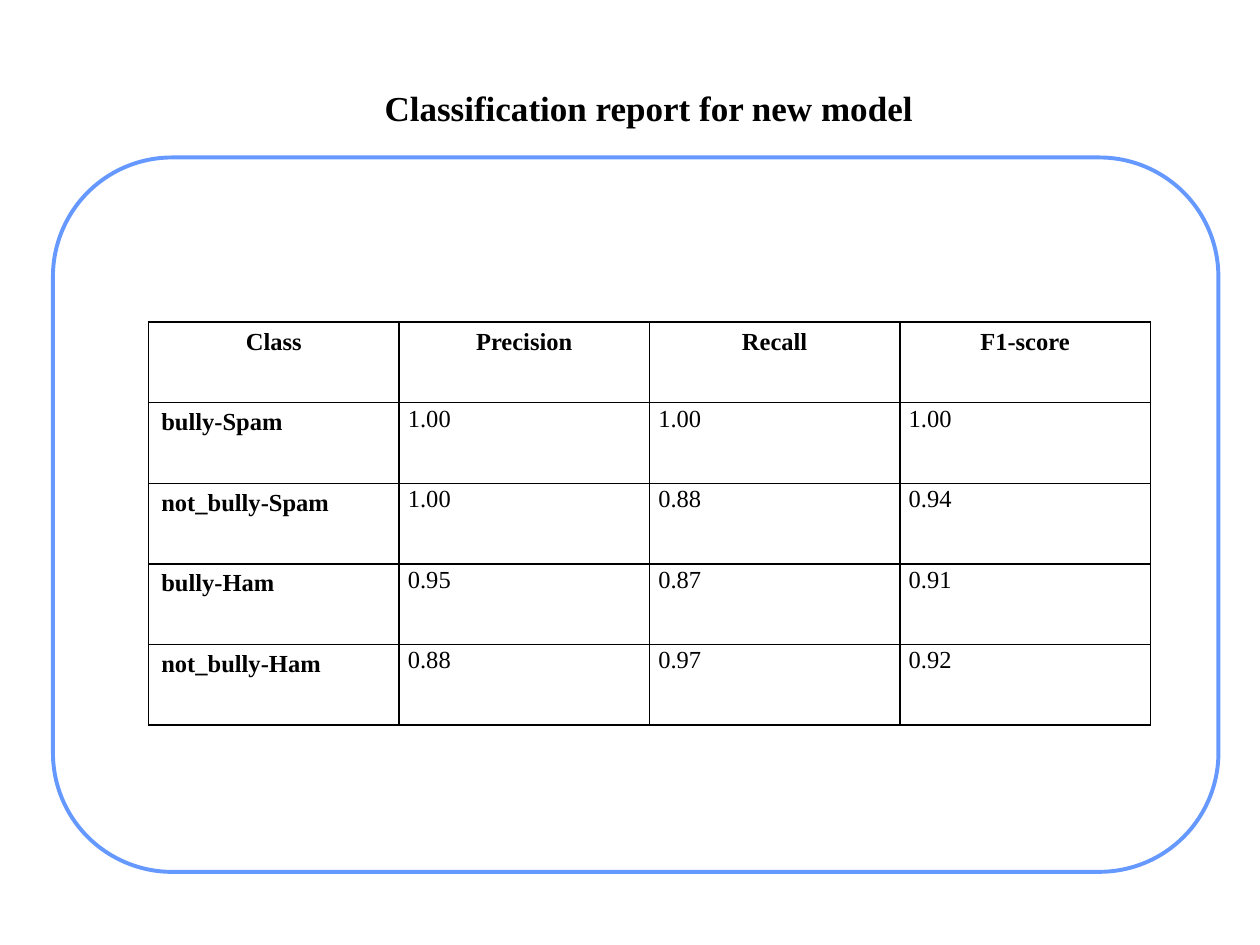
from lxml.etree import SubElement
from pptx import Presentation
from pptx.dml.color import RGBColor
from pptx.enum.shapes import MSO_SHAPE as Shape
from pptx.enum.text import MSO_ANCHOR as Anchor, PP_ALIGN as Align
from pptx.oxml.ns import qn
from pptx.util import Inches, Pt

WIDTH, HEIGHT = Inches(10), Inches(7.5)
FONT = "Times New Roman"
COLORS = {"paper": "FFFFFF", "frame": "6699FF", "ink": "000000"}
REPORT = [
    ("Class", "Precision", "Recall", "F1-score"),
    ("bully-Spam", "1.00", "1.00", "1.00"),
    ("not_bully-Spam", "1.00", "0.88", "0.94"),
    ("bully-Ham", "0.95", "0.87", "0.91"),
    ("not_bully-Ham", "0.88", "0.97", "0.92"),
]


def color(name):
    """Return the named palette colour."""
    return RGBColor.from_string(COLORS[name])


def area(left, top, width, height):
    """Turn shares of the slide's size into lengths."""
    return (int(left * WIDTH), int(top * HEIGHT),
            int(width * WIDTH), int(height * HEIGHT))


def write(frame, text, size, bold, align):
    """Write one formatted paragraph and return it."""
    frame.text = text
    para = frame.paragraphs[0]
    para.alignment = align
    for span in para.runs:
        span.font.name = FONT
        span.font.size = Pt(size)
        span.font.bold = bold
        span.font.color.rgb = color("ink")
    return para


def add_frame(page):
    """Draw the rounded frame around the report."""
    box = page.shapes.add_shape(
        Shape.ROUNDED_RECTANGLE, *area(0.042, 1 / 6, 0.925, 0.756))
    box.adjustments[0] = 1 / 6
    box.shadow.inherit = False
    box.fill.solid()
    box.fill.fore_color.rgb = color("paper")
    box.line.color.rgb = color("frame")
    box.line.width = Pt(2.25)


def add_title(page, text):
    """Place the centred heading above the frame."""
    box = page.shapes.add_textbox(*area(0.14, 0.055, 0.75, 0.117))
    frame = box.text_frame
    frame.word_wrap = True
    frame.vertical_anchor = Anchor.MIDDLE
    frame.margin_left = frame.margin_right = Inches(0.05)
    frame.margin_top = frame.margin_bottom = Inches(0.05)
    write(frame, text, 20, True, Align.CENTER)


def add_borders(cell):
    """Rule all four sides of a cell."""
    props = cell._tc.get_or_add_tcPr()
    for place, side in enumerate(("lnL", "lnR", "lnT", "lnB")):
        line = SubElement(props, qn(f"a:{side}"), w=str(Pt(1)))
        fill = SubElement(line, qn("a:solidFill"))
        SubElement(fill, qn("a:srgbClr"), val=COLORS["ink"])
        props.insert(place, line)


def fill_cell(cell, text, is_header, is_label):
    """Format a cell as a header, a row label or a score."""
    align = Align.CENTER if is_header else Align.LEFT
    para = write(cell.text_frame, text, 14, is_header or is_label, align)
    if not (is_header or is_label):
        cell.margin_left = cell.margin_right = Inches(0.07)
        cell.margin_top, cell.margin_bottom = Inches(0.01), 0
        para.line_spacing = 1.06
        para.space_after = Pt(8)
    cell.fill.background()
    add_borders(cell)


def add_report(page, rows):
    """Add the table of scores on an even grid."""
    table = page.shapes.add_table(
        len(rows), len(rows[0]), *area(0.118, 0.341, 0.795, 0.426)).table
    for row, values in enumerate(rows):
        for column, text in enumerate(values):
            fill_cell(table.cell(row, column), text, row == 0, column == 0)


def main():
    """Build and save the slide."""
    deck = Presentation()
    deck.slide_width, deck.slide_height = WIDTH, HEIGHT
    page = deck.slides.add_slide(deck.slide_layouts[6])
    add_frame(page)
    add_title(page, "Classification report for new model")
    add_report(page, REPORT)
    deck.save("out.pptx")


if __name__ == "__main__":
    main()
